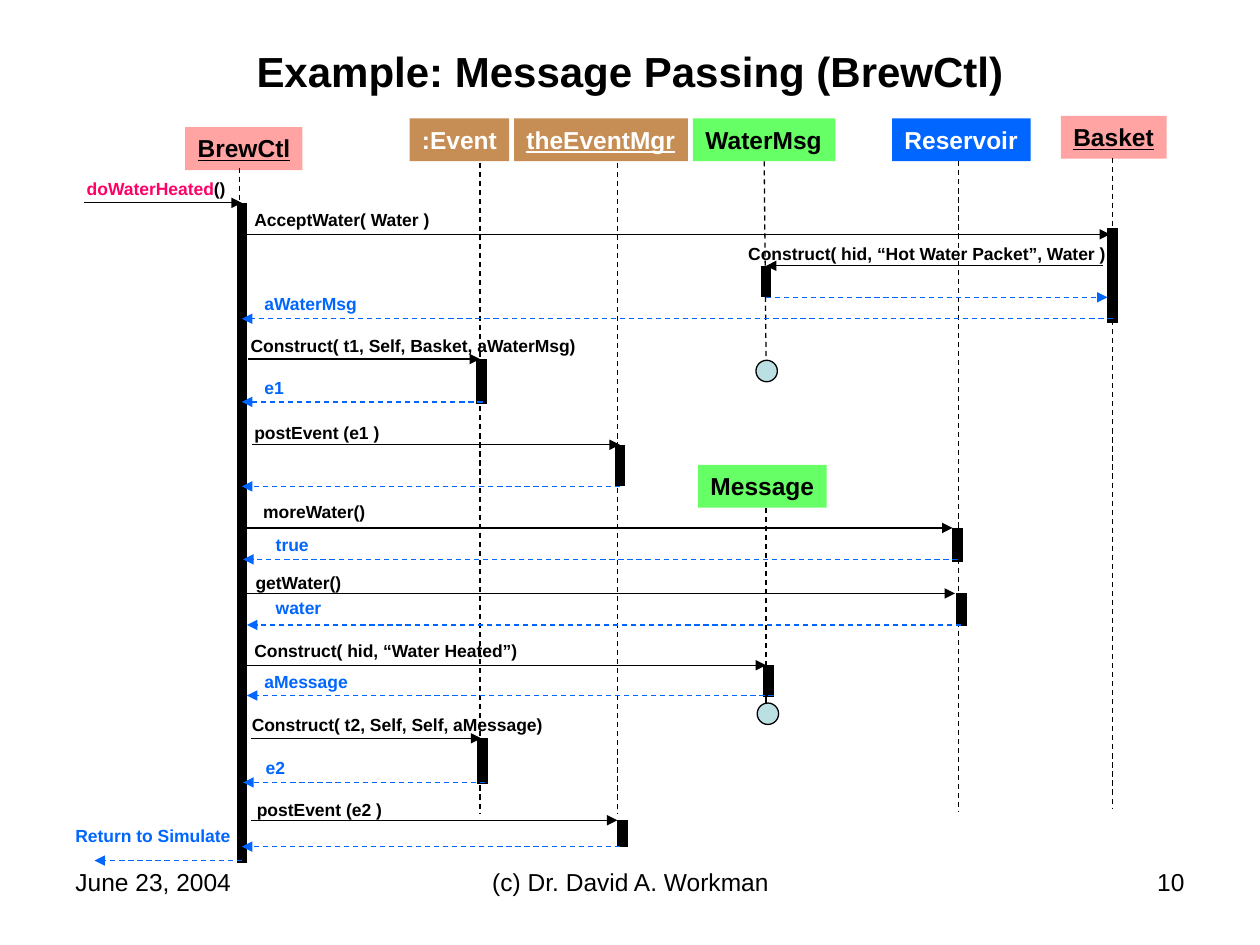
from dataclasses import dataclass

from lxml import etree
from pptx import Presentation
from pptx import util as u
from pptx.dml.color import RGBColor
from pptx.enum import dml, shapes, text
from pptx.oxml import ns

PX = 9144  # 100 px to the inch


@dataclass(frozen=True)
class Theme:
    font: str = "Arial"
    black: str = "000000"
    white: str = "FFFFFF"
    reply: str = "0066FF"
    trigger: str = "FF0066"
    pink: str = "FFA3A3"
    brown: str = "C68D54"
    green: str = "66FF66"
    end_mark: str = "BBE0E3"
    title_size: int = 24
    head_size: int = 14
    label_size: int = 10
    thin: float = 0.75
    thick: float = 6


T = Theme()
TITLE = ("Example: Message Passing (BrewCtl)", 50, 30, 900, 53)

# name, left, top, width, fill, text colour, underlined, lifeline (x1, y1, x2, y2)
PARTICIPANTS = [
    ("BrewCtl", 147, 101, 93, T.pink, T.black, True, (190, 133, 190, 192)),
    (":Event", 325, 94, 79, T.brown, T.white, False, (381, 129, 381, 646)),
    ("theEventMgr", 408, 94, 138, T.brown, T.white, True, (490, 129, 490, 646)),
    ("WaterMsg", 550, 94, 113, T.green, T.black, False, (607, 128, 608, 286)),
    ("Reservoir", 708, 94, 110, T.reply, T.white, False, (761, 128, 761, 644)),
    ("Basket", 842, 92, 84, T.pink, T.black, True, (883, 125, 883, 642)),
    ("Message", 554, 369, 102, T.green, T.black, False, (608, 403, 608, 569)),
]
HEAD_HEIGHT = 34

# x, top, bottom
ACTIVATIONS = [
    (192, 161, 685), (382, 285, 321), (492, 353, 386), (883, 181, 256),
    (760, 419, 446), (608, 211, 236), (763, 471, 497), (383, 586, 622),
    (610, 528, 553), (494, 651, 672),
]

# from x, to x, y, label, label left, top, width
CALLS = [
    (192, 881, 186, "AcceptWater( Water )", 192, 161, 160),
    (875, 608, 211, "Construct( hid, “Hot Water Packet”, Water )", 584, 188, 304),
    (197, 381, 285, "Construct( t1, Self, Basket, aWaterMsg)", 189, 261, 278),
    (200, 492, 353, "postEvent (e1 )", 192, 330, 119),
    (193, 756, 419, "moreWater()", 199, 393, 101),
    (196, 758, 471, "getWater()", 193, 449, 88),
    (192, 608, 528, "Construct( hid, “Water Heated”)", 192, 503, 229),
    (199, 382, 586, "Construct( t2, Self, Self, aMessage)", 190, 562, 250),
    (199, 490, 651, "postEvent (e2 )", 194, 629, 119),
]
REPLIES = [
    (608, 879, 236, "", 0, 0, 0),
    (883, 192, 253, "aWaterMsg", 200, 228, 94),
    (383, 192, 319, "e1", 200, 294, 35),
    (492, 192, 386, "", 0, 0, 0),
    (760, 193, 444, "true", 209, 419, 46),
    (763, 196, 496, "water", 209, 469, 56),
    (614, 196, 552, "aMessage", 200, 528, 86),
    (385, 193, 621, "e2", 201, 596, 35),
    (492, 192, 672, "", 0, 0, 0),
    (192, 75, 683, "Return to Simulate", 50, 650, 143),
]
TRIGGER = (67, 192, 161, [("doWaterHeated", T.trigger), ("()", T.black)], 59, 136, 130)
LABEL_HEIGHT = 27

END_MARKS = [(600, 286), (601, 558)]
END_MARK_SIZE = 17

# text, left, width, alignment
FOOTER = [
    ("June 23, 2004", 50, 233, text.PP_ALIGN.LEFT),
    ("(c) Dr. David A. Workman", 342, 317, text.PP_ALIGN.CENTER),
    ("10", 717, 233, text.PP_ALIGN.RIGHT),
]
FOOTER_TOP, FOOTER_HEIGHT = 683, 52


def emu(*lengths):
    return [length * PX for length in lengths]


def rgb(colour):
    return RGBColor.from_string(colour)


def write(box, spans, size, align=text.PP_ALIGN.LEFT, right_inset=10,
          anchor=text.MSO_ANCHOR.TOP, **font_format):
    """Fill a box with one paragraph made of (text, colour) spans."""
    frame = box.text_frame
    frame_format = {
        "word_wrap": True, "vertical_anchor": anchor,
        "auto_size": text.MSO_AUTO_SIZE.NONE, "margin_right": right_inset * PX,
    }
    for name, value in frame_format.items():
        setattr(frame, name, value)
    para = frame.paragraphs[0]
    para.alignment = align
    for words, colour in spans:
        span = para.add_run()
        span.text = words
        for name, value in {"name": T.font, "size": u.Pt(size), **font_format}.items():
            setattr(span.font, name, value)
        span.font.color.rgb = rgb(colour)


def write_tight(box, spans, size, **font_format):
    """Bold text in a box as wide as its words, with spare room on the right."""
    write(box, spans, size, right_inset=0, bold=True, **font_format)


def add_filled(page, kind, place, fill):
    shape = page.shapes.add_shape(kind, *emu(*place))
    shape.shadow.inherit = False
    shape.fill.solid()
    shape.fill.fore_color.rgb = rgb(fill)
    shape.line.fill.background()
    return shape


def add_line(page, ends, colour=T.black, width=T.thin, dashed=False, arrow=False):
    line = page.shapes.add_connector(shapes.MSO_CONNECTOR.STRAIGHT, *emu(*ends))
    line.line.color.rgb = rgb(colour)
    line.line.width = u.Pt(width)
    if dashed:
        line.line.dash_style = dml.MSO_LINE.DASH
    if arrow:
        etree.SubElement(line.line._get_or_add_ln(), ns.qn("a:tailEnd"), type="triangle")
    etree.SubElement(line._element.spPr, ns.qn("a:effectLst"))
    return line


def add_participant(page, name, left, top, width, fill, colour, underlined, lifeline):
    head = add_filled(page, shapes.MSO_SHAPE.RECTANGLE, (left, top, width, HEAD_HEIGHT), fill)
    write_tight(head, [(name, colour)], T.head_size, underline=underlined)
    line = add_line(page, lifeline, dashed=True)
    middle, bottom = left + width / 2, top + HEAD_HEIGHT
    if abs(lifeline[0] - middle) < 1 and lifeline[1] == bottom:
        line.begin_connect(head, 2)


def add_message(page, start, end, y, spans, left, top, width, colour=T.black, dashed=False):
    add_line(page, (start, y, end, y), colour, dashed=dashed, arrow=True)
    if spans:
        if isinstance(spans, str):
            spans = [(spans, colour)]
        label = page.shapes.add_textbox(*emu(left, top, width, LABEL_HEIGHT))
        write_tight(label, spans, T.label_size)


def main():
    deck = Presentation()
    deck.slide_width, deck.slide_height = emu(1000, 750)
    page = deck.slides.add_slide(deck.slide_layouts[6])

    words, *place = TITLE
    write(page.shapes.add_textbox(*emu(*place)), [(words, T.black)], T.title_size,
          text.PP_ALIGN.CENTER, anchor=text.MSO_ANCHOR.MIDDLE, bold=True)

    for participant in PARTICIPANTS:
        add_participant(page, *participant)
    for x, top, bottom in ACTIVATIONS:
        add_line(page, (x, top, x, bottom), width=T.thick)
    for call in [TRIGGER, *CALLS]:
        add_message(page, *call)
    for reply in REPLIES:
        add_message(page, *reply, colour=T.reply, dashed=True)

    for left, top in END_MARKS:
        mark = add_filled(page, shapes.MSO_SHAPE.OVAL,
                          (left, top, END_MARK_SIZE, END_MARK_SIZE), T.end_mark)
        mark.line.color.rgb = rgb(T.black)
        mark.line.width = u.Pt(T.thin)

    for words, left, width, align in FOOTER:
        box = page.shapes.add_textbox(*emu(left, FOOTER_TOP, width, FOOTER_HEIGHT))
        write(box, [(words, T.black)], T.head_size, align)

    deck.save("out.pptx")


if __name__ == "__main__":
    main()
